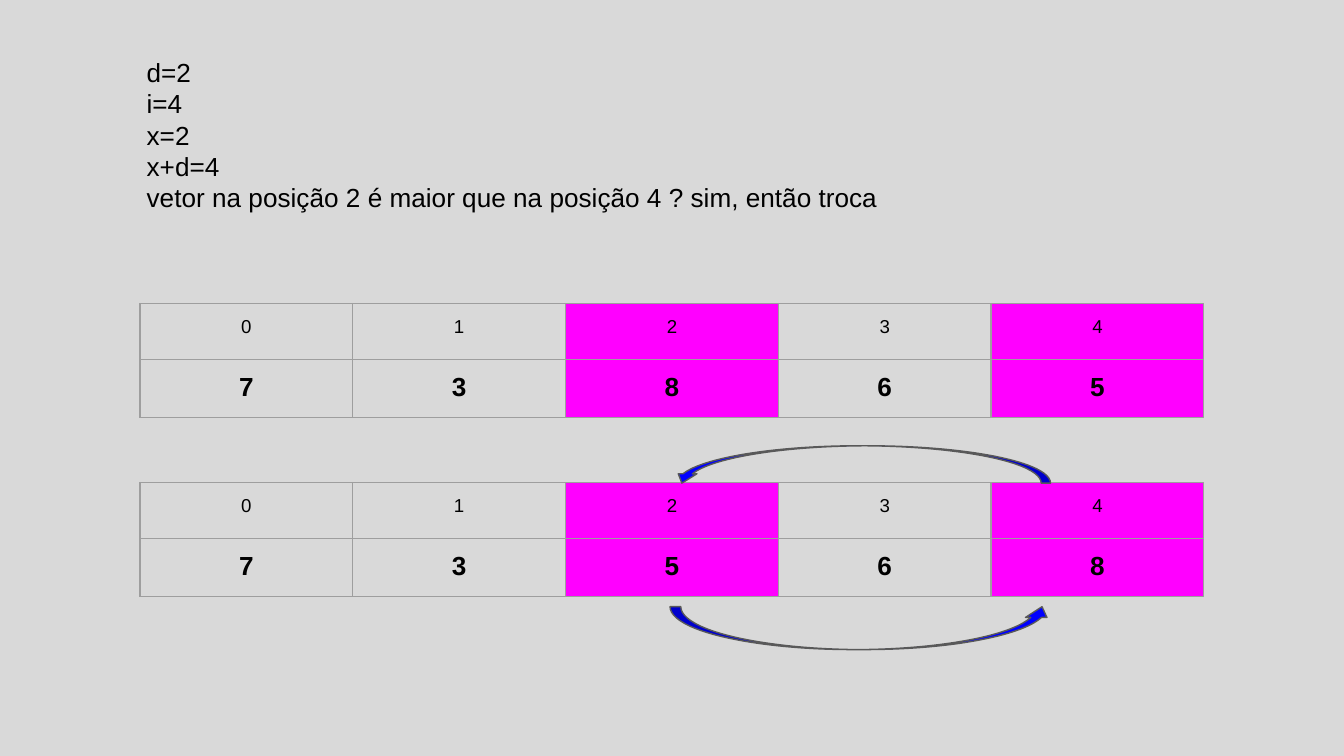
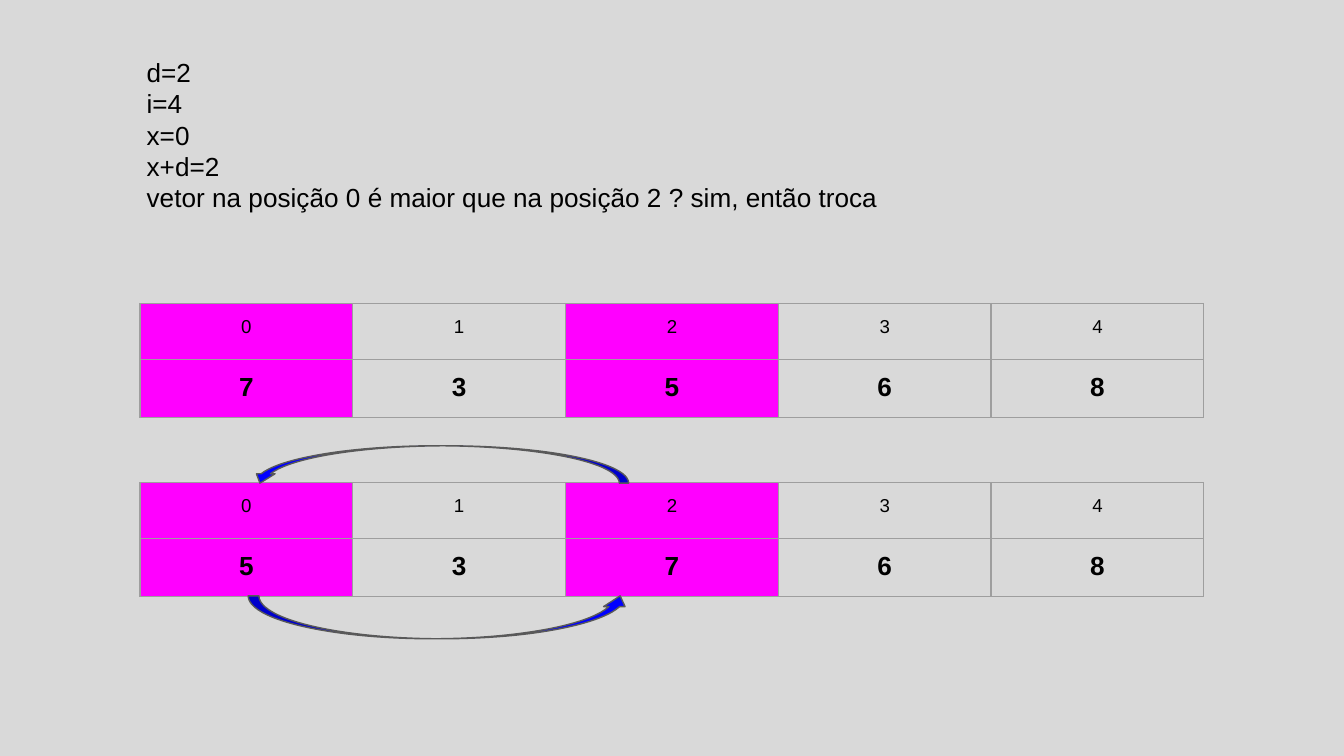
from pptx import Presentation
from pptx.dml.color import RGBColor
from pptx.enum.shapes import MSO_SHAPE
from pptx.enum.text import PP_ALIGN
from pptx.oxml import parse_xml
from pptx.oxml.ns import nsdecls
from pptx.util import Pt

CENTER = PP_ALIGN.CENTER
LEFT = PP_ALIGN.LEFT
ARROW = MSO_SHAPE.CURVED_RIGHT_ARROW

HUES = {"back": "D9D9D9", "text": "000000", "mark": "FF00FF",
        "grid": "9E9E9E", "arrow": "0000FF", "edge": "595959"}
RGB = {name: RGBColor.from_string(code) for name, code in HUES.items()}

BODY = {"name": "Arial", "size": Pt(14), "bold": False}
INDEX = {"name": "Arial", "size": Pt(10), "bold": False}
VALUE = {"name": "Arial", "size": Pt(14), "bold": True}
INSET = {f"margin_{side}": Pt(7.2) for side in ("left", "right", "top", "bottom")}

COLS, COL, ROW = 5, 114, 30
TABLE_X, TABLE_TOPS = 75, (162.5, 258.5)

STEPS = [
    {"x": 2, "before": [7, 3, 8, 6, 5], "after": [7, 3, 5, 6, 8],
     "arrows": [(451.5, 147.6, 20, 202.5, 90), (450, 234, 23, 205, 270)]},
    {"x": 0, "before": [7, 3, 5, 6, 8], "after": [5, 3, 7, 6, 8],
     "arrows": [(225.5, 147.6, 20, 202.5, 90), (224, 228.2, 23, 205, 270)]},
]
GAP = 2


def write(para, text, look, align):
    para.alignment = align
    run = para.add_run()
    run.text = str(text)
    for key, val in look.items():
        setattr(run.font, key, val)
    run.font.color.rgb = RGB["text"]


def border(cell):
    props = cell._tc.get_or_add_tcPr()
    for spot, side in enumerate("LRTB"):
        props.insert(spot, parse_xml(
            f'<a:ln{side} {nsdecls("a")} w="{Pt(0.75)}"><a:solidFill>'
            f'<a:srgbClr val="{HUES["grid"]}"/></a:solidFill></a:ln{side}>'))


prs = Presentation()
prs.slide_width, prs.slide_height = Pt(720), Pt(405)

for step in STEPS:
    slide = prs.slides.add_slide(prs.slide_layouts[6])
    slide.background.fill.solid()
    slide.background.fill.fore_color.rgb = RGB["back"]
    low = step["x"]
    high = low + GAP

    box = slide.shapes.add_textbox(Pt(71.5), Pt(23), Pt(577.5), Pt(67.5))
    frame = box.text_frame
    frame.word_wrap = True
    for key, val in INSET.items():
        setattr(frame, key, val)
    lines = [f"d={GAP}", "i=4", f"x={low}", f"x+d={high}",
             f"vetor na posição {low} é maior que na posição {high} ? sim, então troca"]
    for num, line in enumerate(lines):
        para = frame.add_paragraph() if num else frame.paragraphs[0]
        write(para, line, BODY, LEFT)

    for top, values in zip(TABLE_TOPS, (step["before"], step["after"])):
        table = slide.shapes.add_table(2, COLS, Pt(TABLE_X), Pt(top),
                                       Pt(COLS * COL), Pt(2 * ROW)).table
        table.first_row = table.horz_banding = False
        for row, (items, look) in enumerate(((range(COLS), INDEX), (values, VALUE))):
            for col, item in enumerate(items):
                cell = table.cell(row, col)
                for key, val in INSET.items():
                    setattr(cell, key, val)
                write(cell.text_frame.paragraphs[0], item, look, CENTER)
                if col in (low, high):
                    cell.fill.solid()
                    cell.fill.fore_color.rgb = RGB["mark"]
                else:
                    cell.fill.background()
                border(cell)

    for *place, turn in step["arrows"]:
        arrow = slide.shapes.add_shape(ARROW, *map(Pt, place))
        arrow.rotation = turn
        arrow.shadow.inherit = False
        for num, part in enumerate((0.25, 0.5, 0.25)):
            arrow.adjustments[num] = part
        arrow.fill.solid()
        arrow.fill.fore_color.rgb = RGB["arrow"]
        arrow.line.color.rgb = RGB["edge"]
        arrow.line.width = Pt(0.75)

prs.save("out.pptx")
